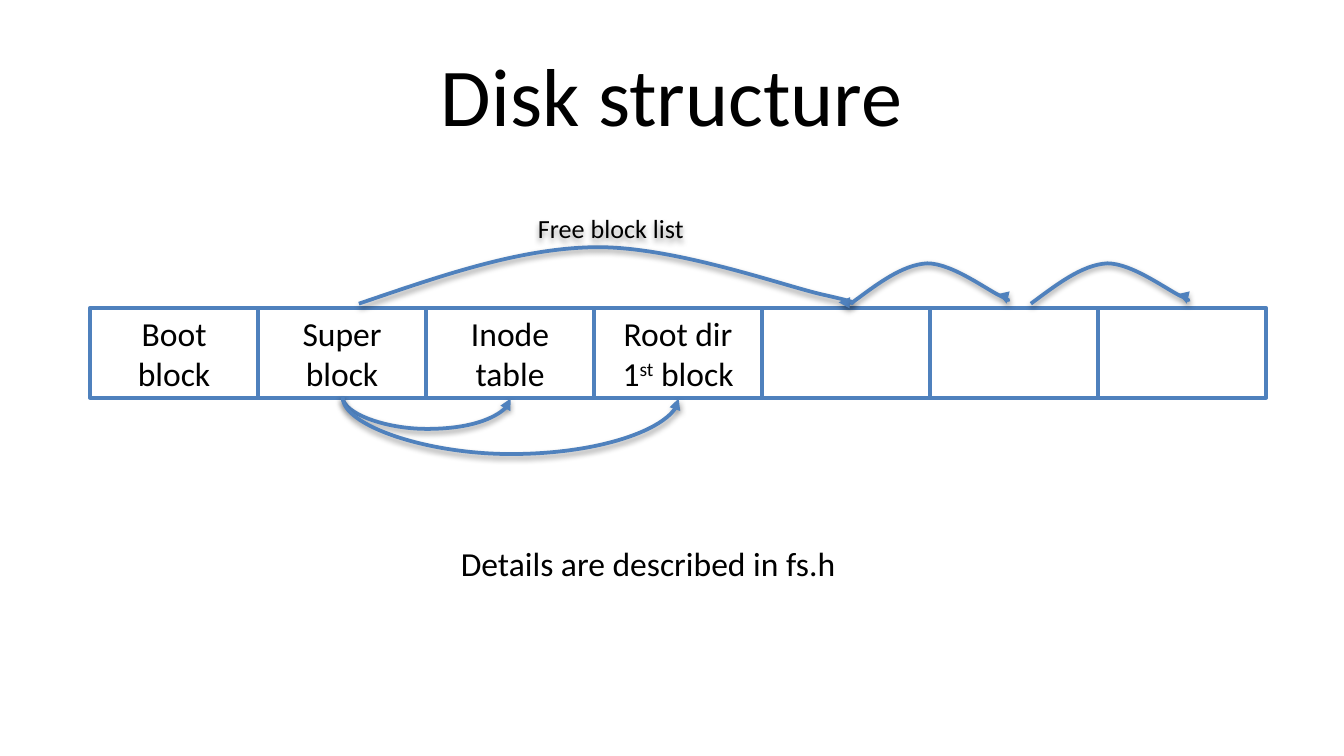
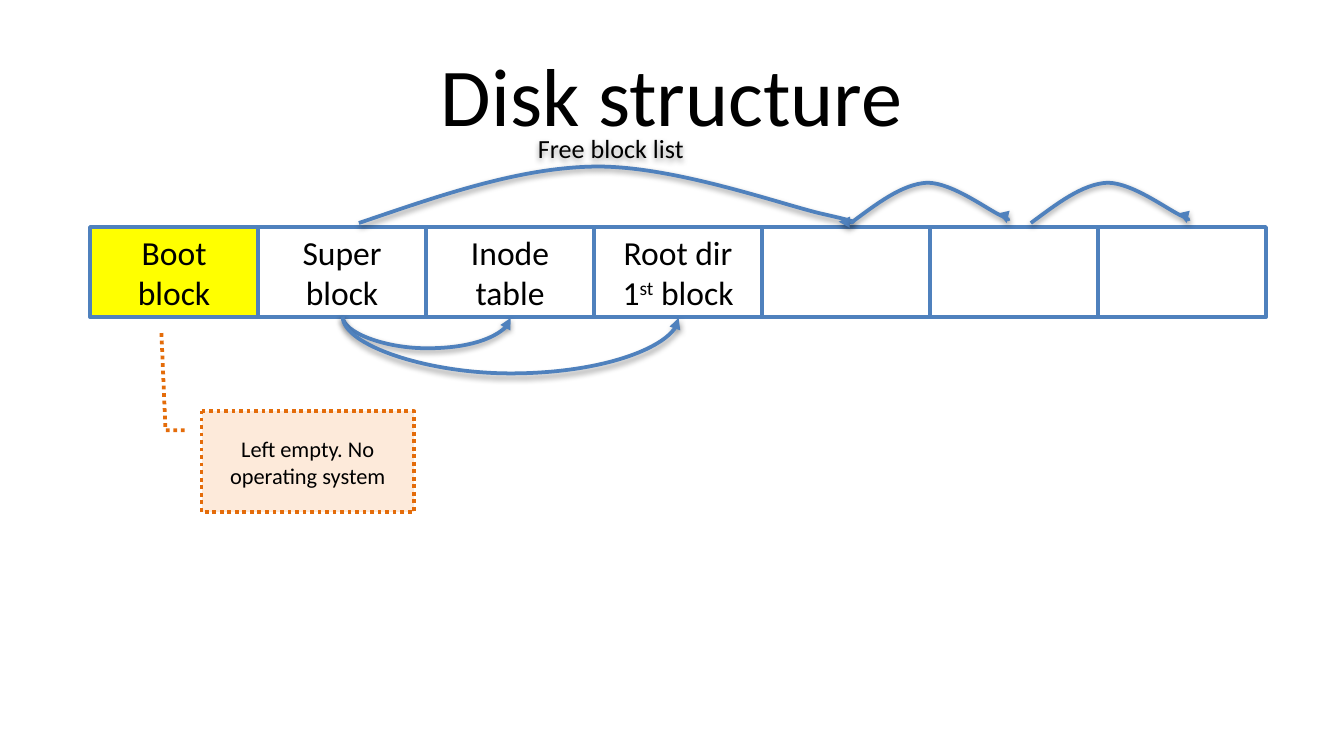
"""Builds two slides that show how the blocks of a disk are laid out and linked."""
from copy import deepcopy
from dataclasses import dataclass

from lxml.etree import SubElement
from pptx import Presentation
from pptx.dml.color import RGBColor as Color
from pptx.enum.dml import MSO_LINE as Dash
from pptx.enum.shapes import MSO_CONNECTOR as Link, MSO_SHAPE as Preset
from pptx.enum.text import MSO_ANCHOR as Anchor, MSO_AUTO_SIZE as AutoSize, PP_ALIGN as Align
from pptx.oxml import parse_xml
from pptx.oxml.ns import nsdecls, qn
from pptx.util import Pt


@dataclass(frozen=True)
class Theme:
    font: str = "Calibri"
    ink: Color = Color.from_string("000000")
    paper: Color = Color.from_string("FFFFFF")
    blue: Color = Color.from_string("4F81BD")
    yellow: Color = Color.from_string("FFFF00")
    peach: Color = Color.from_string("FDEADA")
    orange: Color = Color.from_string("E46C0A")
    title: int = 44
    body: int = 18
    label: int = 14
    note: int = 12
    stroke: int = 2


THEME = Theme()
PX = 9144
PAGE_WIDTH = 1000 * PX
CENTERED = {"word_wrap": True, "vertical_anchor": Anchor.MIDDLE}
FITTED = {"word_wrap": False, "auto_size": AutoSize.SHAPE_TO_FIT_TEXT}
SHADOW = parse_xml(
    f'<a:effectLst {nsdecls("a")}>'
    '<a:outerShdw blurRad="40000" dist="20000" dir="5400000" rotWithShape="0">'
    '<a:srgbClr val="000000"><a:alpha val="38000"/></a:srgbClr>'
    '</a:outerShdw></a:effectLst>'
)

BLOCK_LEFT, BLOCK_WIDTH, BLOCK_HEIGHT = 67, 125, 67
BLOCKS = [("Boot block",), ("Super block",), ("Inode table",),
          ("Root dir 1", "st", " block"), (), (), ()]
HOP = [(19, -14), (38, -29), (57, -30), (76, -30), (103, -9), (113, -5),
       (122, 0), (119, 0), (116, 0)]
LONG_HOP = [(59, -20), (118, -41), (175, -42), (233, -43), (314, -14), (344, -7),
            (375, 0), (366, 0), (357, -1)]
FREE_LIST = [(767, HOP), (267, LONG_HOP), (633, HOP)]
POINTERS = [(2, 24), (3, 43)]


def write(shape, runs, size, align=Align.CENTER, layout=CENTERED):
    frame = shape.text_frame
    for name, value in layout.items():
        setattr(frame, name, value)
    para = frame.paragraphs[0]
    para.alignment = align
    for index, text in enumerate(runs):
        span = para.add_run()
        span.text = text
        for name, value in {"name": THEME.font, "size": Pt(size)}.items():
            setattr(span.font, name, value)
        span.font.color.rgb = THEME.ink
        if index % 2:
            span.font._element.set("baseline", "30000")


def style_arrow(arrow):
    arrow.line.color.rgb = THEME.blue
    arrow.line.width = Pt(THEME.stroke)
    SubElement(arrow.line._get_or_add_ln(), qn("a:tailEnd"), type="triangle")
    arrow._element.spPr.append(deepcopy(SHADOW))


deck = Presentation()
deck.slide_width, deck.slide_height = PAGE_WIDTH, PAGE_WIDTH * 9 // 16

for row_top, boot_fill in [(229, THEME.paper), (169, THEME.yellow)]:
    page = deck.slides.add_slide(deck.slide_layouts[6])
    shapes = page.shapes
    title = shapes.add_textbox(50 * PX, 23 * PX, 900 * PX, 94 * PX)
    write(title, ["Disk structure"], THEME.title)

    blocks = []
    for index, runs in enumerate(BLOCKS):
        block = shapes.add_shape(Preset.RECTANGLE, (BLOCK_LEFT + index * BLOCK_WIDTH) * PX,
                                 row_top * PX, BLOCK_WIDTH * PX, BLOCK_HEIGHT * PX)
        block.shadow.inherit = False
        block.fill.solid()
        block.fill.fore_color.rgb = THEME.paper if index else boot_fill
        block.line.color.rgb = THEME.blue
        block.line.width = Pt(THEME.stroke)
        write(block, runs, THEME.body)
        blocks.append(block)

    hop_top = row_top - 3
    for start, curve in FREE_LIST:
        builder = shapes.build_freeform(start, hop_top, scale=PX)
        builder.add_line_segments([(start + x, hop_top + y) for x, y in curve], close=False)
        hop = builder.convert_to_shape()
        hop.fill.background()
        outline = hop._element.spPr.find(".//" + qn("a:path"))
        lines = outline.findall(qn("a:lnTo"))
        for first in range(0, len(lines), 3):
            bend = SubElement(outline, qn("a:cubicBezTo"))
            for line in lines[first:first + 3]:
                bend.append(line[0])
                outline.remove(line)
        style_arrow(hop)

    label = shapes.add_textbox(380 * PX, (row_top - 74) * PX, 149 * PX, 30 * PX)
    write(label, ["Free block list"], THEME.label)
    label._element.spPr.append(deepcopy(SHADOW))

    source = blocks[1]
    for target_index, drop in POINTERS:
        target = blocks[target_index]
        pointer = shapes.add_connector(Link.CURVE, 0, 0, 0, 0)
        pointer.begin_connect(source, 2)
        pointer.end_connect(target, 2)
        span_width = target.left - source.left
        frame = {
            "left": source.left + (source.width + span_width) // 2,
            "top": source.top + source.height - span_width // 2,
            "width": PX,
            "height": span_width,
        }
        for name, value in frame.items():
            setattr(pointer, name, value)
        properties = pointer._element.spPr
        for name, value in {"rot": "16200000", "flipH": "1", "flipV": "0"}.items():
            properties.xfrm.set(name, value)
        guides = properties.find(".//" + qn("a:avLst"))
        SubElement(guides, qn("a:gd"), name="adj1", fmla=f"val {drop * 100000}")
        style_arrow(pointer)

    if boot_fill == THEME.paper:
        details = shapes.add_textbox(333 * PX, 399 * PX, 302 * PX, 40 * PX)
        write(details, ["Details are described in fs.h"], THEME.body, Align.LEFT, FITTED)
    else:
        callout = shapes.add_shape(Preset.LINE_CALLOUT_2, 150 * PX, 306 * PX, 158 * PX, 75 * PX)
        for index, value in enumerate([0.19, -0.08, 0.19, -0.17, -0.81, -0.19]):
            callout.adjustments[index] = value
        callout.shadow.inherit = False
        callout.fill.solid()
        callout.fill.fore_color.rgb = THEME.peach
        callout.line.color.rgb = THEME.orange
        callout.line.width = Pt(THEME.stroke)
        callout.line.dash_style = Dash.ROUND_DOT
        write(callout, ["Left empty. No operating system"], THEME.note)

deck.save("out.pptx")
